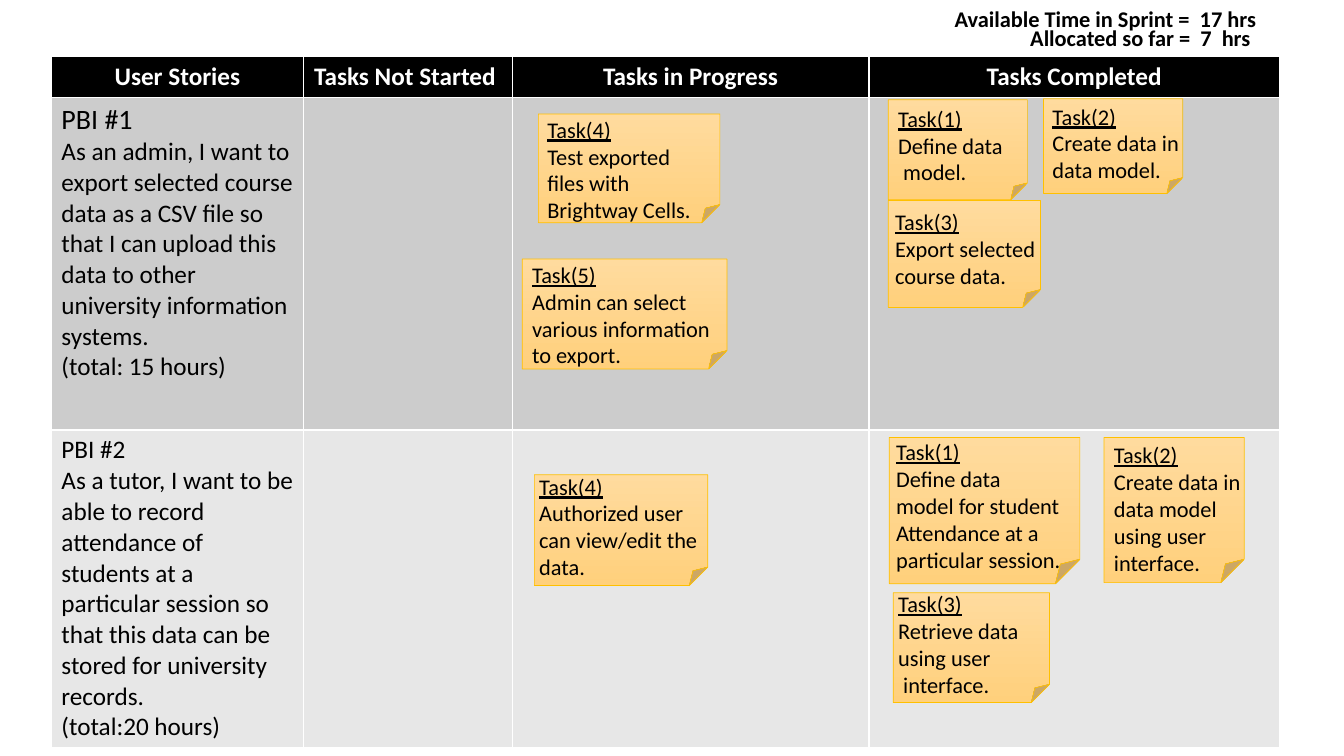
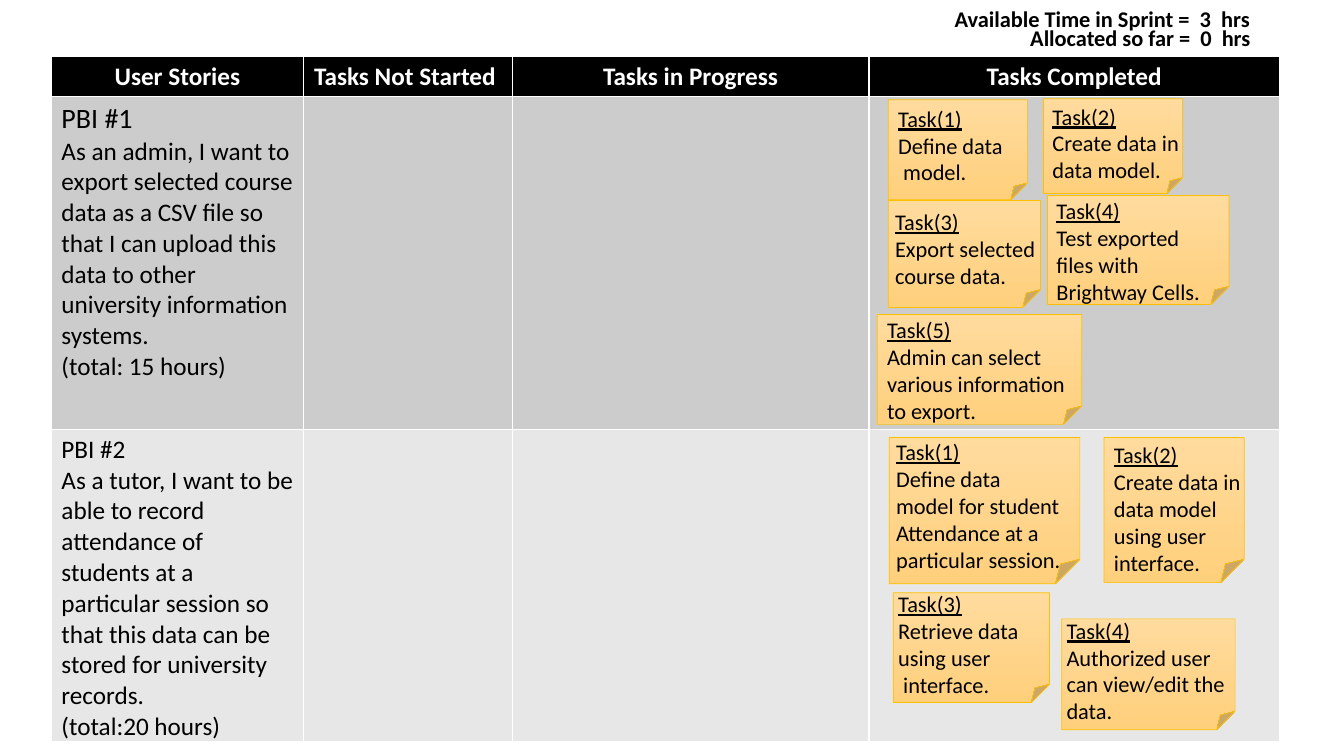
from itertools import accumulate
from math import ceil

from pptx import Presentation
from pptx.dml.color import RGBColor
from pptx.enum.shapes import MSO_SHAPE
from pptx.enum.text import MSO_AUTO_SIZE as AUTO_SIZE, PP_ALIGN as ALIGN
from pptx.util import Inches, Pt

# Board grid, in inches
COLUMNS = [2.5, 2.07, 3.54, 4.07]
ROWS = [0.38, 3.3, 2.95]
LEFTS = list(accumulate(COLUMNS, initial=0.51))
TOPS = list(accumulate(ROWS, initial=0.56))
PROGRESS, COMPLETED = 2, 3
TEXT_WIDTH, LINE_HEIGHT, LINE_LETTERS = 2.04, 0.27, 21

# Shared look
FONT = "Calibri"
FILLS = ["000000", "CCCCCC", "E7E7E7"]
NOTE_TOP, NOTE_BOTTOM, NOTE_EDGE = "FFDB9E", "FFD07C", "FFC000"
PLAIN = {"name": FONT, "size": Pt(16)}
TITLE = PLAIN | {"underline": True}
STRONG = PLAIN | {"bold": True}
HEADER = {"name": FONT, "size": Pt(18), "bold": True}
STORY = {"name": FONT, "size": Pt(18), "bold": False}
FIRST_STORY = STORY | {"size": Pt(20)}

HEADINGS = ["User Stories", "Tasks Not Started ", "Tasks in Progress", "Tasks Completed"]
STORIES = [
    ["PBI #1", "As an admin, I want to export selected course data as a CSV file so that "
     "I can upload this data to other university information systems.",
     "(total: 15 hours)"],
    ["PBI #2", "As a tutor, I want to be able to record attendance of students at a "
     "particular session so that this data can be stored for university records.",
     "(total:20 hours)"],
]

# Notes: lines, note size, shift of the text from the note
NOTES = {
    (1, 1): (["Define data", " model."], (1.38, 0.99), (0, 0)),
    (1, 2): (["Create data in ", "data model."], (1.38, 0.94), (-0.01, -0.01)),
    (1, 3): (["Export selected course data."], (1.51, 1.06), (-0.03, 0.03)),
    (1, 4): (["Test exported ", "files with ", "Brightway Cells."], (1.8, 1.08), (-0.01, -0.03)),
    (1, 5): (["Admin can select various information", "to export."], (2.03, 1.09), (0, -0.03)),
    (2, 1): (["Define data", "model for student Attendance at a particular session."],
             (1.89, 1.45), (-0.03, -0.04)),
    (2, 2): (["Create data in ", "data model ", "using user ", "interface. "],
             (1.39, 1.44), (0, -0.01)),
    (2, 3): (["Retrieve data ", "using user", " interface."], (1.55, 1.09), (-0.05, -0.07)),
    (2, 4): (["Authorized user ", "can view/edit the data."], (1.72, 1.1), (-0.05, -0.07)),
}

# Places: column, then offset from the corner of the cell
FINISHED = {
    (1, 1): (COMPLETED, 0.19, 0.05),
    (1, 2): (COMPLETED, 1.73, 0.04),
    (1, 3): (COMPLETED, 0.19, 1.05),
    (2, 1): (COMPLETED, 0.2, 0.1),
    (2, 2): (COMPLETED, 2.33, 0.1),
    (2, 3): (COMPLETED, 0.24, 1.64),
}
SPRINTS = [
    ("17 hrs", "7  hrs", {
        (1, 4): (PROGRESS, 0.26, 0.19),
        (1, 5): (PROGRESS, 0.1, 1.63),
        (2, 4): (PROGRESS, 0.22, 0.47),
    }),
    ("3  hrs", "0  hrs", {
        (1, 4): (COMPLETED, 1.77, 1),
        (1, 5): (COMPLETED, 0.08, 2.18),
        (2, 4): (COMPLETED, 1.91, 1.9),
    }),
]


def color(value):
    return RGBColor.from_string(value)


def write(frame, lines, looks, ink="000000", align=ALIGN.LEFT):
    frame.word_wrap = True
    for index, (line, look) in enumerate(zip(lines, looks)):
        para = frame.add_paragraph() if index else frame.paragraphs[0]
        para.alignment = align
        span = para.add_run()
        span.text = line
        span.font.color.rgb = color(ink)
        for name, value in look.items():
            setattr(span.font, name, value)


deck = Presentation()
deck.slide_width, deck.slide_height = Inches(13.33), Inches(7.5)

for available, allocated, moving in SPRINTS:
    slide = deck.slides.add_slide(deck.slide_layouts[6])

    # Task board
    board = slide.shapes.add_table(
        len(ROWS), len(COLUMNS), Inches(LEFTS[0]), Inches(TOPS[0]),
        Inches(sum(COLUMNS)), Inches(sum(ROWS))).table
    for column, width in zip(board.columns, COLUMNS):
        column.width = Inches(width)
    for row, height, fill in zip(board.rows, ROWS, FILLS):
        row.height = Inches(height)
        for cell in row.cells:
            cell.fill.solid()
            cell.fill.fore_color.rgb = color(fill)
    for index, heading in enumerate(HEADINGS):
        write(board.cell(0, index).text_frame, [heading], [HEADER], "FFFFFF", ALIGN.CENTER)
    for index, story in enumerate(STORIES, 1):
        first = FIRST_STORY if index == 1 else STORY
        write(board.cell(index, 0).text_frame, story, [first, STORY, STORY])

    # Sticky notes
    for (row, task), (column, across, down) in (FINISHED | moving).items():
        lines, size, (shift_x, shift_y) = NOTES[row, task]
        left, top = LEFTS[column] + across, TOPS[row] + down
        group = slide.shapes.add_group_shape()
        note = group.shapes.add_shape(
            MSO_SHAPE.FOLDED_CORNER, Inches(left), Inches(top), *map(Inches, size))
        note.shadow.inherit = False
        note.fill.gradient()
        note.fill.gradient_angle = 270
        for stop, shade in zip(note.fill.gradient_stops, [NOTE_TOP, NOTE_BOTTOM]):
            stop.color.rgb = color(shade)
        note.line.color.rgb = color(NOTE_EDGE)
        note.line.width = Pt(0.5)

        count = 1 + sum(ceil(len(line) / LINE_LETTERS) for line in lines)
        box = group.shapes.add_textbox(
            Inches(left + shift_x), Inches(top + shift_y),
            Inches(TEXT_WIDTH), Inches(0.1 + LINE_HEIGHT * count))
        box.text_frame.auto_size = AUTO_SIZE.SHAPE_TO_FIT_TEXT
        write(box.text_frame, [f"Task({task})", *lines], [TITLE] + [PLAIN] * len(lines))

    # Sprint hours
    for text, left, top, width in [
        (f"Available Time in Sprint =  {available}", 9.37, 0, 3.27),
        (f"Allocated so far =  {allocated}", 10.12, 0.19, 2.46),
    ]:
        box = slide.shapes.add_textbox(*map(Inches, (left, top, width, 0.37)))
        box.text_frame.auto_size = AUTO_SIZE.SHAPE_TO_FIT_TEXT
        write(box.text_frame, [text], [STRONG])

deck.save("out.pptx")
